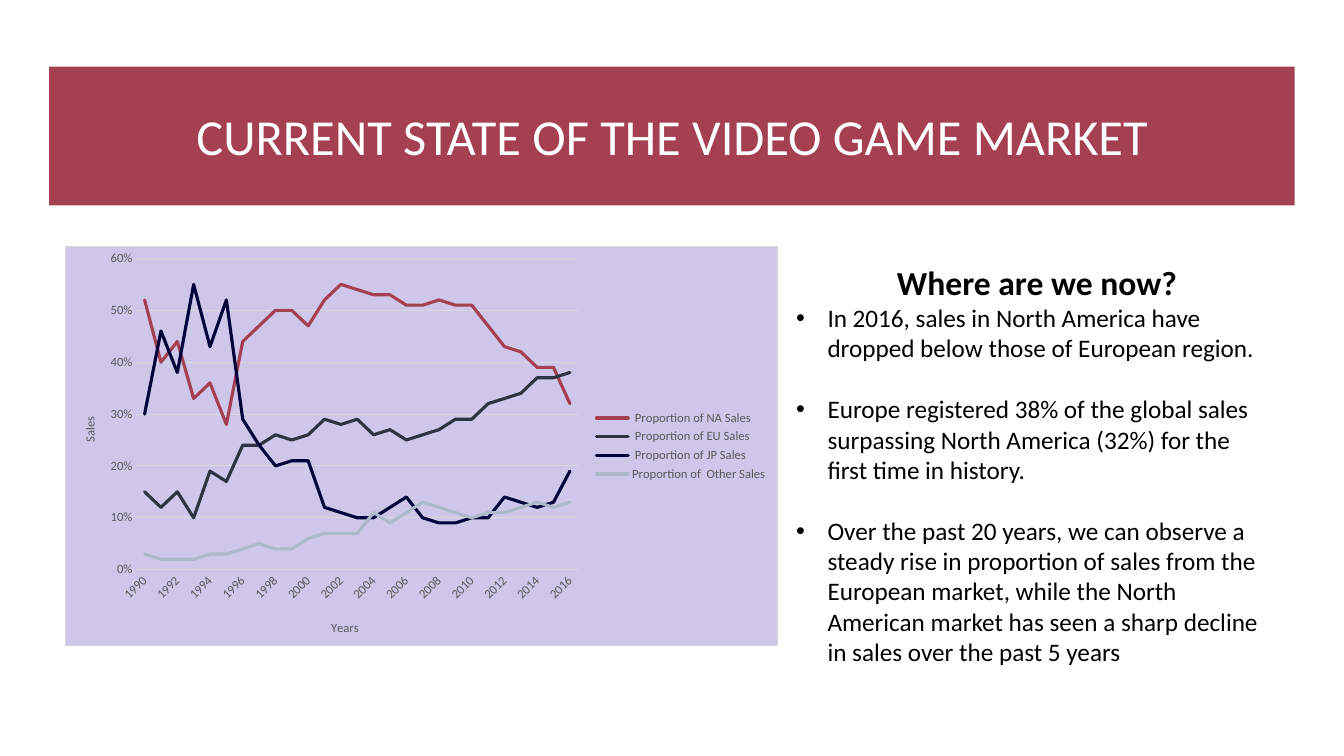
"""Build a slide on the video game market with a line chart and a bullet list."""
from lxml import etree
from pptx import Presentation
from pptx.chart.data import CategoryChartData
from pptx.dml.color import RGBColor
from pptx.enum.chart import XL_CHART_TYPE, XL_LEGEND_POSITION, XL_TICK_MARK
from pptx.enum.shapes import MSO_SHAPE
from pptx.enum.text import MSO_ANCHOR, MSO_AUTO_SIZE, PP_ALIGN
from pptx.oxml import parse_xml
from pptx.oxml.ns import nsdecls, qn
from pptx.util import Cm, Pt

LINE_CHART = XL_CHART_TYPE.LINE
LEGEND_RIGHT = XL_LEGEND_POSITION.RIGHT
NO_TICK = XL_TICK_MARK.NONE
RECTANGLE = MSO_SHAPE.RECTANGLE
MIDDLE, TOP = MSO_ANCHOR.MIDDLE, MSO_ANCHOR.TOP
NO_AUTOFIT = MSO_AUTO_SIZE.NONE
CENTER, LEFT = PP_ALIGN.CENTER, PP_ALIGN.LEFT

TITLE = "CURRENT STATE OF THE VIDEO GAME MARKET"
HEADING = "Where are we now?"
BULLETS = [
    "In 2016, sales in North America have dropped below those of European region.",
    "Europe registered 38% of the global sales surpassing North America (32%) "
    "for the first time in history.",
    "Over the past 20 years, we can observe a steady rise in proportion of sales "
    "from the European market, while the North American market has seen a sharp "
    "decline in sales over the past 5 years",
]
YEARS = range(1990, 2017)
SALES_PERCENT = [
    (" Proportion of NA Sales", "north_america",
     [52, 40, 44, 33, 36, 28, 44, 47, 50, 50, 47, 52, 55, 54,
      53, 53, 51, 51, 52, 51, 51, 47, 43, 42, 39, 39, 32]),
    (" Proportion of EU Sales", "europe",
     [15, 12, 15, 10, 19, 17, 24, 24, 26, 25, 26, 29, 28, 29,
      26, 27, 25, 26, 27, 29, 29, 32, 33, 34, 37, 37, 38]),
    (" Proportion of JP Sales", "japan",
     [30, 46, 38, 55, 43, 52, 29, 24, 20, 21, 21, 12, 11, 10,
      10, 12, 14, 10, 9, 9, 10, 10, 14, 13, 12, 13, 19]),
    ("Proportion of  Other Sales", "other",
     [3, 2, 2, 2, 3, 3, 4, 5, 4, 4, 6, 7, 7, 7,
      11, 9, 11, 13, 12, 11, 10, 11, 11, 12, 13, 12, 13]),
]
COLORS = {
    "banner": "A53F52", "white": "FFFFFF", "text": "000000", "label": "595959",
    "grid": "D9D9D9", "chart": "CEC7E9", "north_america": "A53F52",
    "europe": "2F3342", "japan": "01023B", "other": "ADB9CA",
}
FONT = "Calibri"
BANNER_BOX = (Cm(1.24), Cm(1.68), Cm(31.39), Cm(3.5))
TITLE_BOX = (Cm(1.63), Cm(2.03), Cm(30.63), Cm(2.74))
CHART_BOX = (Cm(1.63), Cm(6.2), Cm(17.98), Cm(10.08))
LIST_BOX = (Cm(19.81), Cm(6.48), Cm(12.22), Cm(10.52))


def color(name):
    return RGBColor.from_string(COLORS[name])


def style_font(font, size, color_name, bold=False):
    font.name, font.size, font.bold = FONT, Pt(size), bold
    font.color.rgb = color(color_name)


def write(paragraph, text, size=18, color_name="text", bold=False, align=LEFT,
          before=0, margin=0, hanging=0, bullet=None):
    properties = paragraph._p.get_or_add_pPr()
    properties.set("marL", str(margin))
    properties.set("indent", str(-hanging))
    if bullet:
        etree.SubElement(properties, qn("a:buFont")).set("typeface", "Arial")
        etree.SubElement(properties, qn("a:buChar")).set("char", bullet)
    else:
        etree.SubElement(properties, qn("a:buNone"))
    paragraph.alignment = align
    paragraph.space_before, paragraph.space_after = Pt(before), Pt(0)
    paragraph.line_spacing = 1.0
    run = paragraph.add_run()
    run.text = text
    style_font(run.font, size, color_name, bold)


def place(shape, box):
    shape.left, shape.top, shape.width, shape.height = box


def set_layout(element, index, **fractions):
    old = element.find(qn("c:layout"))
    if old is not None:
        element.remove(old)
    target = '<c:layoutTarget val="inner"/>' if "w" in fractions else ""
    modes = "".join(f'<c:{key}Mode val="edge"/>' for key in "xy")
    values = "".join(f'<c:{key} val="{value}"/>' for key, value in fractions.items())
    element.insert(index, parse_xml(
        f'<c:layout {nsdecls("c")}><c:manualLayout>{target}{modes}{values}'
        '</c:manualLayout></c:layout>'))


def style_axis(axis, title, rotation, x, y):
    axis.major_tick_mark = axis.minor_tick_mark = NO_TICK
    style_font(axis.tick_labels.font, 9, "label")
    frame = axis.axis_title.text_frame
    write(frame.paragraphs[0], title, size=9, color_name="label", align=CENTER)
    frame._txBody.bodyPr.set("rot", str(rotation * 60000))
    frame._txBody.bodyPr.set("vert", "horz")
    set_layout(axis.axis_title._element, 1, x=x, y=y)


def add_sales_chart(slide):
    data = CategoryChartData(number_format="0%")
    data.categories = [str(year) for year in YEARS]
    for name, _, percents in SALES_PERCENT:
        data.add_series(name, [percent / 100 for percent in percents])
    chart = slide.shapes.add_chart(LINE_CHART, *CHART_BOX, data).chart
    style_font(chart.font, 10, "text")
    chart.has_title = False
    chart.has_legend = True
    chart.legend.position = LEGEND_RIGHT
    chart.legend.include_in_layout = False
    style_font(chart.legend.font, 9, "label")
    chart.plots[0].vary_by_categories = False
    for series, (_, color_name, _) in zip(chart.plots[0].series, SALES_PERCENT):
        series.smooth = False
        series.format.line.color.rgb = color(color_name)
        series.format.line.width = Pt(2.25)
        series.format.line._ln.set("cap", "rnd")

    years, sales = chart.category_axis, chart.value_axis
    style_axis(years, "Years", 0, 0.37, 0.93)
    style_axis(sales, "Sales", -90, 0.02, 0.42)
    years.tick_labels.font._element.getparent().getparent().getparent().bodyPr.set(
        "rot", str(-45 * 60000))
    skip = etree.Element(qn("c:tickLblSkip"), val="2")
    years._element.find(qn("c:lblOffset")).addnext(skip)
    sales.minimum_scale, sales.maximum_scale, sales.major_unit = 0, 0.6, 0.1
    sales.tick_labels.number_format = "0%"
    sales.tick_labels.number_format_is_linked = False
    sales.format.line.fill.background()
    sales.has_major_gridlines = True
    for line in (years.format.line, sales.major_gridlines.format.line):
        line.color.rgb = color("grid")
        line.width = Pt(0.75)

    chart_element = chart._chartSpace.find(qn("c:chart"))
    set_layout(chart_element.find(qn("c:plotArea")), 0, x=0.1, y=0.03, w=0.62, h=0.78)
    chart_element.addnext(parse_xml(
        f'<c:spPr {nsdecls("c", "a")}>'
        f'<a:solidFill><a:srgbClr val="{COLORS["chart"]}"/></a:solidFill>'
        f'<a:ln w="{Pt(0.75)}"><a:solidFill><a:srgbClr val="{COLORS["grid"]}"/>'
        '</a:solidFill></a:ln></c:spPr>'))


def main():
    presentation = Presentation()
    presentation.slide_width, presentation.slide_height = Cm(33.87), Cm(19.05)
    slide = presentation.slides.add_slide(presentation.slide_layouts[1])
    title, body = slide.placeholders

    banner = slide.shapes.add_shape(RECTANGLE, *BANNER_BOX)
    banner.shadow.inherit = False
    banner.fill.solid()
    banner.fill.fore_color.rgb = color("banner")
    banner.line.fill.background()
    title.element.addprevious(banner.element)

    place(title, TITLE_BOX)
    title.text_frame.vertical_anchor = MIDDLE
    write(title.text_frame.paragraphs[0], TITLE, size=36, color_name="white", align=CENTER)

    add_sales_chart(slide)

    place(body, LIST_BOX)
    frame = body.text_frame
    frame.word_wrap, frame.auto_size, frame.vertical_anchor = True, NO_AUTOFIT, TOP
    write(frame.paragraphs[0], HEADING, size=24, bold=True, margin=Cm(2.54))
    for index, text in enumerate(BULLETS):
        write(frame.add_paragraph(), text, before=22 if index else 0,
              margin=Cm(0.79), hanging=Cm(0.79), bullet="•")
    presentation.save("out.pptx")


if __name__ == "__main__":
    main()
